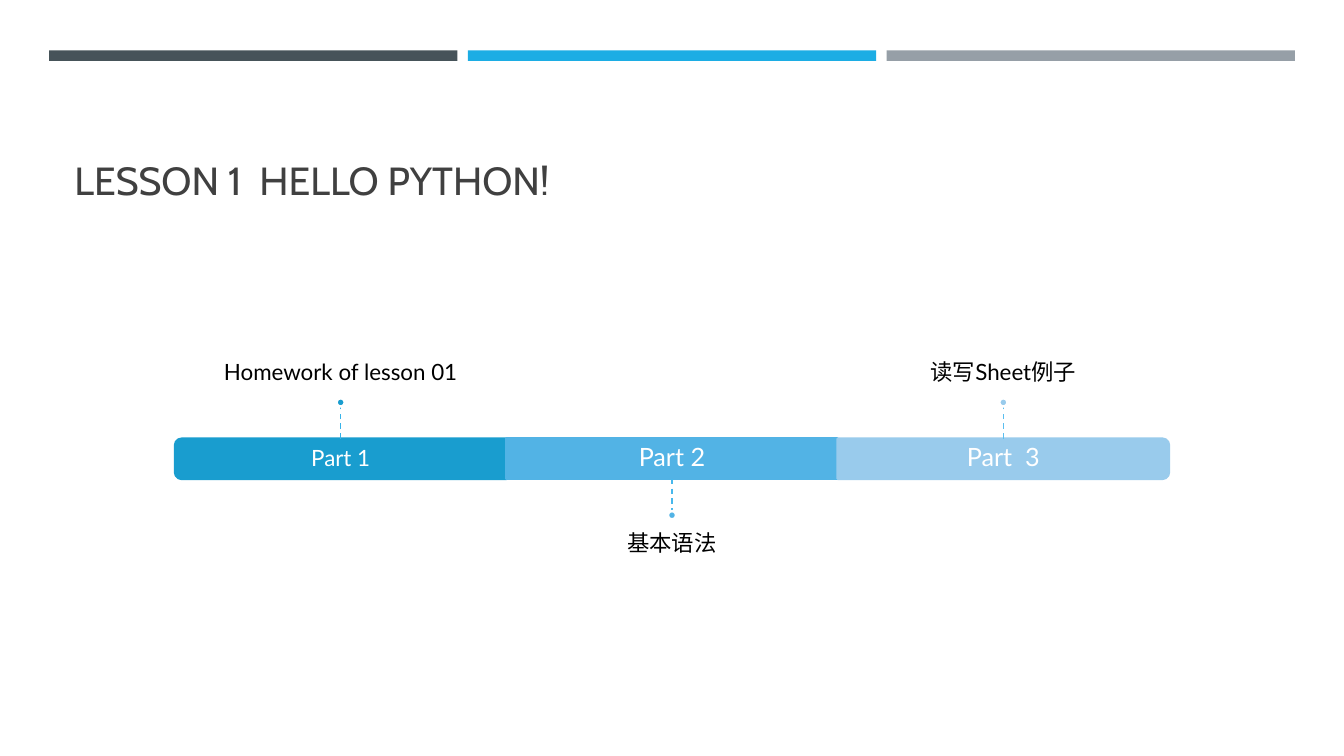
from pptx import Presentation
from pptx.dml.color import RGBColor
from pptx.enum.dml import MSO_LINE
from pptx.enum.shapes import MSO_CONNECTOR, MSO_SHAPE
from pptx.enum.text import MSO_ANCHOR, MSO_AUTO_SIZE, PP_ALIGN
from pptx.oxml.ns import qn
from pptx.util import Pt
from lxml.etree import SubElement

COLORS = {
    "background": "FFFFFF", "title": "404040", "text": "000000", "white": "FFFFFF",
    "dark": "465359", "blue": "1CADE4", "grey": "969FA7",
    "part_1": "199DCF", "part_2": "52B3E5", "part_3": "99CBEC",
    "stem_1": "36B3E9", "stem_2": "48B8EC", "stem_3": "5ABEEF",
}
PARTS = [
    ("Part 1", 16, "Homework of lesson 01", True, 270),
    ("Part 2", 18, "基本语法", False, 0),
    ("Part  3", 18, "读写Sheet例子", True, 90),
]


def color(name):
    return RGBColor.from_string(COLORS[name])


def add_filled_shape(slide, kind, box, fill, line=None):
    shape = slide.shapes.add_shape(kind, *map(Pt, box))
    shape.shadow.inherit = False
    shape.fill.solid()
    shape.fill.fore_color.rgb = color(fill)
    if line:
        shape.line.color.rgb = color(line)
        shape.line.width = Pt(1.75)
    else:
        shape.line.fill.background()
    return shape


def format_text(text_frame, text, size, font, font_color, alignment, anchor):
    text_frame.text = text
    text_frame.word_wrap = True
    text_frame.auto_size = MSO_AUTO_SIZE.NONE
    text_frame.vertical_anchor = anchor
    paragraph = text_frame.paragraphs[0]
    paragraph.alignment = alignment
    paragraph.line_spacing = 0.9
    run_font = paragraph.runs[0].font
    run_font.size = Pt(size)
    run_font.name = font
    run_font.color.rgb = color(font_color)


def add_label(slide, box, text, size, font_color, anchor, top_inset=0, bottom_inset=0):
    text_frame = slide.shapes.add_textbox(*map(Pt, box)).text_frame
    text_frame.margin_left = text_frame.margin_right = 0
    text_frame.margin_top = Pt(top_inset)
    text_frame.margin_bottom = Pt(bottom_inset)
    format_text(text_frame, text, size, "Lato", font_color, PP_ALIGN.CENTER, anchor)


def add_header_bars(slide, left, top, width, height):
    gap = 7.5
    bar_width = (width - 2 * gap) / 3
    for index, name in enumerate(["dark", "blue", "grey"]):
        bar_left = left + index * (bar_width + gap)
        add_filled_shape(slide, MSO_SHAPE.RECTANGLE, (bar_left, top, bar_width, height), name)


def add_title(slide, left, top, width, height):
    title = slide.shapes.title
    title.left, title.top, title.width, title.height = map(Pt, (left, top, width, height))
    format_text(title.text_frame, "LESSON 1  HELLO PYTHON!", 28, "Cabin", "title",
                PP_ALIGN.LEFT, MSO_ANCHOR.BOTTOM)


def add_band(slide, box, rotation, fill):
    left, top, width, height = box
    if not rotation:
        return add_filled_shape(slide, MSO_SHAPE.RECTANGLE, box, fill, fill)
    upright_box = (left + (width - height) / 2, top + (height - width) / 2, height, width)
    band = add_filled_shape(slide, MSO_SHAPE.ROUND_2_SAME_RECTANGLE, upright_box, fill, fill)
    band.rotation = rotation
    return band


def add_stem(slide, center, start, end, stem_color):
    stem = slide.shapes.add_connector(
        MSO_CONNECTOR.STRAIGHT, Pt(center), Pt(start), Pt(center), Pt(end))
    stem.line.color.rgb = color(stem_color)
    stem.line.width = Pt(1)
    stem.line.dash_style = MSO_LINE.DASH
    SubElement(stem._element.spPr, qn("a:effectLst"))
    return stem


def add_part(slide, box, number, part):
    name, name_size, topic, above, rotation = part
    left, top, width, height = box
    center = left + width / 2
    stem_length, dot, topic_width, topic_height, inset = 23, 5.8, 394.5, 100, 9.4
    fill = f"part_{number}"

    band = add_band(slide, box, rotation, fill)
    add_label(slide, box, name, name_size, "white", MSO_ANCHOR.MIDDLE)

    direction = -1 if above else 1
    edge = top if above else top + height
    stem_end = edge + direction * stem_length
    stem = add_stem(slide, center, edge, stem_end, f"stem_{number}")
    if not rotation:
        stem.begin_connect(band, 0 if above else 2)

    dot_top = stem_end - dot if above else stem_end
    add_filled_shape(slide, MSO_SHAPE.OVAL, (center - dot / 2, dot_top, dot, dot), fill, "white")

    topic_edge = stem_end + direction * dot
    topic_top = topic_edge - topic_height if above else topic_edge
    topic_box = (center - topic_width / 2, topic_top, topic_width, topic_height)
    if above:
        add_label(slide, topic_box, topic, 16, "text", MSO_ANCHOR.BOTTOM, bottom_inset=inset)
    else:
        add_label(slide, topic_box, topic, 16, "text", MSO_ANCHOR.TOP, top_inset=inset)


def add_timeline(slide, left, top, width, height):
    part_width = width / len(PARTS)
    for index, part in enumerate(PARTS):
        part_box = (left + index * part_width, top, part_width, height)
        add_part(slide, part_box, index + 1, part)


def main():
    presentation = Presentation()
    presentation.slide_width = Pt(960)
    presentation.slide_height = Pt(540)
    slide = presentation.slides.add_slide(presentation.slide_layouts[5])
    slide.background.fill.solid()
    slide.background.fill.fore_color.rgb = color("background")
    add_header_bars(slide, 35, 36, 890, 7.5)
    add_title(slide, 46, 55.5, 868, 93.5)
    add_timeline(slide, 125, 313.3, 710, 28.8)
    presentation.save("out.pptx")


if __name__ == "__main__":
    main()
